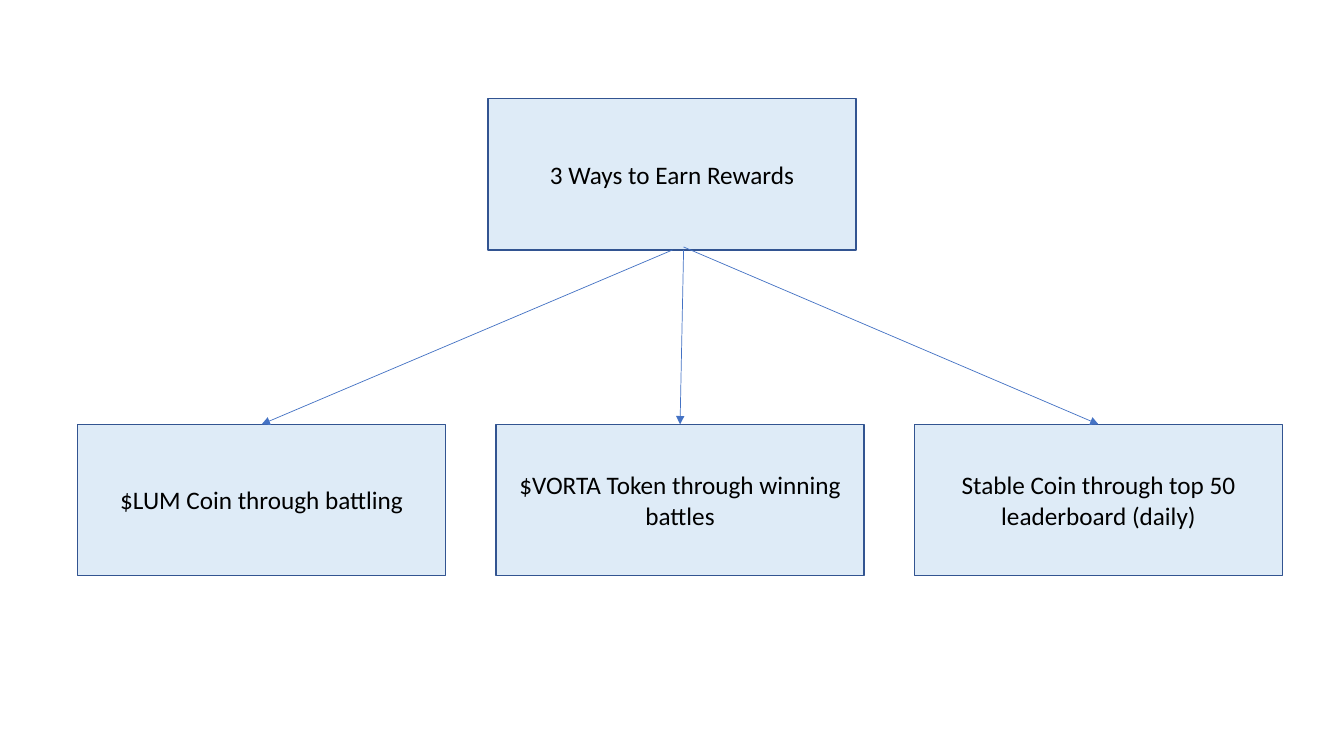
import pptx
import pptx.dml.color
import pptx.enum.shapes
import pptx.enum.text
import pptx.oxml
import pptx.oxml.ns
import pptx.util

Inches = pptx.util.Inches
Points = pptx.util.Pt


def color(value):
    return pptx.dml.color.RGBColor.from_string(value)


def write_text(frame, text, *, font, size, text_color):
    frame.word_wrap = True
    frame.vertical_anchor = pptx.enum.text.MSO_ANCHOR.MIDDLE
    paragraph = frame.paragraphs[0]
    paragraph.alignment = pptx.enum.text.PP_ALIGN.CENTER
    run = paragraph.add_run()
    run.text = text
    run.font.name = font
    run.font.size = Points(size)
    run.font.color.rgb = color(text_color)


class Diagram:
    font = "Calibri"
    text_size = 18
    text_color = "000000"
    box_fill = "DEEBF7"
    box_line = "325491"
    arrow_line = "4472C4"
    box_width = 3.65
    box_height = 1.5

    def __init__(self, slide):
        self.slide = slide

    def box(self, text, left, top):
        shape = self.slide.shapes.add_shape(
            pptx.enum.shapes.MSO_SHAPE.RECTANGLE,
            Inches(left), Inches(top),
            Inches(self.box_width), Inches(self.box_height),
        )
        shape.shadow.inherit = False
        shape.fill.solid()
        shape.fill.fore_color.rgb = color(self.box_fill)
        shape.line.color.rgb = color(self.box_line)
        shape.line.width = Points(1)
        write_text(shape.text_frame, text, font=self.font,
                   size=self.text_size, text_color=self.text_color)
        return shape

    def arrow(self, start_left, start_top, target):
        connector = self.slide.shapes.add_connector(
            pptx.enum.shapes.MSO_CONNECTOR.STRAIGHT,
            Inches(start_left), Inches(start_top),
            target.left + target.width // 2, target.top,
        )
        connector.end_connect(target, 0)
        connector.line.color.rgb = color(self.arrow_line)
        connector.line.width = Points(0.5)
        line = connector.line._get_or_add_ln()
        tail = pptx.oxml.parse_xml(
            f'<a:tailEnd {pptx.oxml.ns.nsdecls("a")} type="triangle"/>')
        line.append(tail)
        effects = pptx.oxml.parse_xml(
            f'<a:effectLst {pptx.oxml.ns.nsdecls("a")}/>')
        line.addnext(effects)
        return connector


presentation = pptx.Presentation()
presentation.slide_width = Inches(13.33)
presentation.slide_height = Inches(7.5)
slide = presentation.slides.add_slide(presentation.slide_layouts[6])
diagram = Diagram(slide)

first_reward_left = 0.77
reward_pitch = 4.15
reward_top = 4.21
rewards = [
    ("$LUM Coin through battling", 6.67, 2.48),
    ("$VORTA Token through winning battles", 6.78, 2.48),
    ("Stable Coin through top 50 leaderboard (daily)", 6.78, 2.45),
]

diagram.box("3 Ways to Earn Rewards", 4.84, 0.98)
reward_boxes = [
    diagram.box(text, first_reward_left + index * reward_pitch, reward_top)
    for index, (text, _, _) in enumerate(rewards)
]
for (_, start_left, start_top), reward_box in zip(rewards, reward_boxes):
    diagram.arrow(start_left, start_top, reward_box)

presentation.save("out.pptx")
